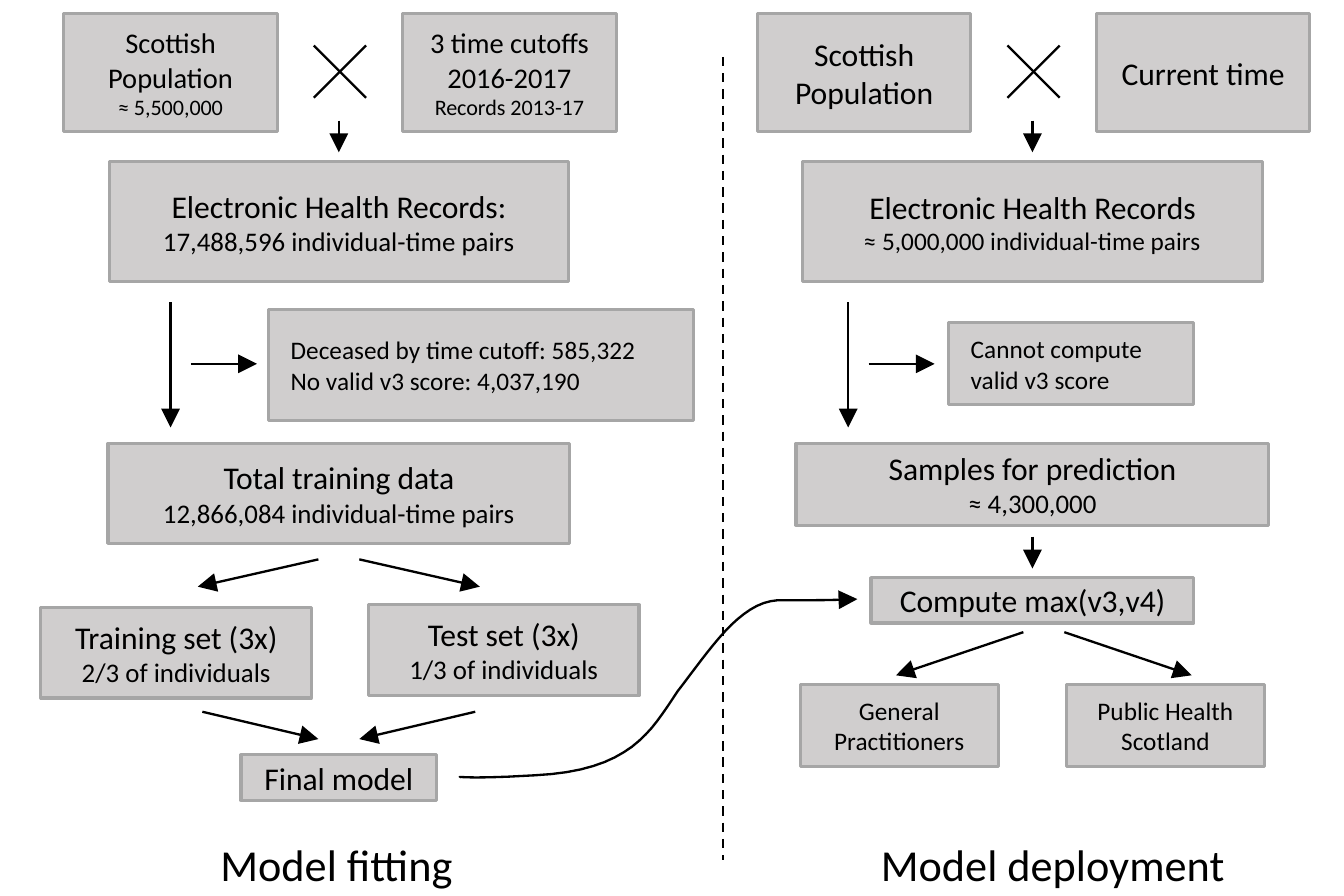
import dataclasses
import pptx
import pptx.dml.color
import pptx.enum.dml
import pptx.enum.shapes
import pptx.enum.text
import pptx.oxml
import pptx.oxml.ns
import pptx.util

Inches = pptx.util.Inches
ALIGN = pptx.enum.text.PP_ALIGN
MIDDLE = pptx.enum.text.MSO_ANCHOR.MIDDLE


@dataclasses.dataclass(frozen=True)
class Theme:
    font: str = "Calibri"
    ink: str = "000000"
    box_fill: str = "D0CECE"
    box_edge: str = "A6A6A6"
    edge_width: float = 1
    line_width: float = 0.75
    caption: float = 14
    heading: float = 10
    source: float = 9
    count: float = 8.5
    small: float = 8
    note: float = 7


THEME = Theme()
AXIS = 1.49  # centre line of a panel, from its left edge
PANEL_STEP = 3.05


def color(value):
    return pptx.dml.color.RGBColor.from_string(value)


def write(frame, lines, align=ALIGN.CENTER):
    """Fill a text frame with (text, size) paragraphs."""
    frame.text = "\n".join(text for text, size in lines)
    frame.vertical_anchor = MIDDLE
    for paragraph, (text, size) in zip(frame.paragraphs, lines):
        paragraph.alignment = align
        paragraph.space_before = pptx.util.Pt(0)
        font = paragraph.runs[0].font
        font.name, font.size, font.bold = THEME.font, pptx.util.Pt(size), False
        font.color.rgb = color(THEME.ink)


def ink_line(shape, arrow=False, dashed=False):
    shape.line.width = pptx.util.Pt(THEME.line_width)
    shape.line.color.rgb = color(THEME.ink)
    if dashed:
        shape.line.dash_style = pptx.enum.dml.MSO_LINE.DASH
    if arrow:
        outline = shape._element.spPr.find(pptx.oxml.ns.qn("a:ln"))
        outline.append(pptx.oxml.parse_xml(
            f'<a:tailEnd {pptx.oxml.ns.nsdecls("a")} type="triangle"/>'))


@dataclasses.dataclass
class Panel:
    """A region whose parts are placed from its left and top edges."""
    slide: object
    left: float
    top: float

    def box(self, x, y, width, height, *lines, align=ALIGN.CENTER):
        box = self.slide.shapes.add_shape(
            pptx.enum.shapes.MSO_SHAPE.RECTANGLE, Inches(self.left + x),
            Inches(self.top + y), Inches(width), Inches(height))
        box.shadow.inherit = False
        box.fill.solid()
        box.fill.fore_color.rgb = color(THEME.box_fill)
        box.line.color.rgb = color(THEME.box_edge)
        box.line.width = pptx.util.Pt(THEME.edge_width)
        box.text_frame.word_wrap = True
        write(box.text_frame, lines, align)

    def centred_box(self, y, width, height, *lines):
        self.box(AXIS - width / 2, y, width, height, *lines)

    def line(self, x1, y1, x2, y2, arrow=True, dashed=False):
        line = self.slide.shapes.add_connector(
            pptx.enum.shapes.MSO_CONNECTOR.STRAIGHT,
            Inches(self.left + x1), Inches(self.top + y1),
            Inches(self.left + x2), Inches(self.top + y2))
        ink_line(line, arrow, dashed)
        line._element.spPr.append(pptx.oxml.parse_xml(
            f'<a:effectLst {pptx.oxml.ns.nsdecls("a")}/>'))

    def down_arrow(self, y):
        self.line(AXIS, y, AXIS, y + 0.14)

    def arrow_pair(self, axis, y1, spread1, y2, spread2):
        for side in (-1, 1):
            self.line(axis + side * spread1, y1, axis + side * spread2, y2)

    def inputs(self, population, times, records):
        """Population crossed with times, leading to the records."""
        for x, lines in ((0.28, population), (1.77, times)):
            self.box(x, 0.06, 0.94, 0.52, *lines)
        for start, end in ((1.38, 1.61), (1.61, 1.38)):
            self.line(start, 0.2, end, 0.43, arrow=False)
        self.down_arrow(0.53)
        self.centred_box(0.71, 2.02, 0.53, *records)

    def exclusion(self, x, y, gap, width, height, *lines):
        """Arrow down past a side box of excluded records."""
        self.line(x, 1.33, x, 1.88)
        self.line(x + 0.09, 1.6, x + 0.38, 1.6)
        self.box(x + gap, y, width, height, *lines, align=ALIGN.LEFT)

    def caption(self, placeholder, text, centre):
        width = 1.73
        placeholder.left = Inches(self.left + centre - width / 2)
        placeholder.top = Inches(self.top + 3.63)
        placeholder.width, placeholder.height = Inches(width), Inches(0.34)
        placeholder.text_frame.auto_size = pptx.enum.text.MSO_AUTO_SIZE.NONE
        placeholder.text_frame.word_wrap = False
        write(placeholder.text_frame, [(text, THEME.caption)])


def model_fitting(panel, caption):
    t = THEME
    panel.inputs(
        [("Scottish Population", t.source), ("≈ 5,500,000", t.note)],
        [("3 time cutoffs 2016-2017", t.source), ("Records 2013-17", t.note)],
        [("Electronic Health Records:", t.heading),
         ("17,488,596 individual-time pairs", t.count)])
    panel.exclusion(0.75, 1.36, 0.43, 1.87, 0.49,
                    ("Deceased by time cutoff: 585,322", t.small),
                    ("No valid v3 score: 4,037,190", t.small))
    panel.centred_box(1.95, 2.03, 0.44, ("Total training data", t.heading),
                      ("12,866,084 individual-time pairs", t.count))
    # Split into sets, then join in the final model
    panel.arrow_pair(AXIS, 2.46, 0.09, 2.58, 0.62)
    for x, y, name, share in ((0.18, 2.67, "Training set (3x)", "2/3"),
                              (1.62, 2.66, "Test set (3x)", "1/3")):
        panel.box(x, y, 1.19, 0.4, (name, t.heading),
                  (f"{share} of individuals", t.count))
    panel.arrow_pair(AXIS, 3.13, 0.6, 3.25, 0.09)
    panel.centred_box(3.32, 0.86, 0.2, ("Final model", t.heading))
    panel.caption(caption, "Model fitting", 1.48)


def model_deployment(panel, caption):
    t = THEME
    panel.inputs(
        [("Scottish Population", t.heading)],
        [("Current time", t.heading)],
        [("Electronic Health Records", t.heading),
         ("≈ 5,000,000 individual-time pairs", t.small)])
    panel.exclusion(0.68, 1.42, 0.44, 1.08, 0.36,
                    ("Cannot compute valid v3 score", t.small))
    panel.centred_box(1.95, 2.08, 0.36, ("Samples for prediction", t.heading),
                      ("≈ 4,300,000", t.count))
    panel.down_arrow(2.36)
    panel.centred_box(2.54, 1.42, 0.2, ("Compute max(v3,v4)", t.heading))
    # Recipients of the scores
    panel.arrow_pair(1.54, 2.78, 0.09, 2.97, 0.65)
    for x, recipient in ((0.47, "General Practitioners"),
                         (1.64, "Public Health Scotland")):
        panel.box(x, 3.01, 0.87, 0.36, (recipient, t.small))
    panel.caption(caption, "Model deployment", 1.58)


def bezier(start, control1, control2, end, steps=16):
    for step in range(1, steps + 1):
        t = step / steps
        weights = ((1 - t) ** 3, 3 * t * (1 - t) ** 2, 3 * t * t * (1 - t), t ** 3)
        yield tuple(sum(w * p[i] for w, p in zip(
            weights, (start, control1, control2, end))) for i in (0, 1))


def handover(panel):
    """Divider between the panels and the curve that crosses it."""
    panel.line(3.18, 0.25, 3.18, 3.78, arrow=False, dashed=True)
    start = (2.02, 3.42)
    curves = [((2.03, 3.41), (2, 3.43), (2.35, 3.41)),
              ((2.77, 3.39), (2.86, 3.22), (2.98, 3.04)),
              ((3.12, 2.86), (3.25, 2.65), (3.42, 2.64)),
              ((3.6, 2.64), (3.66, 2.64), (3.77, 2.635))]
    points = [start]
    for curve in curves:
        points.extend(bezier(points[-1], *curve))
    first, *rest = [(Inches(panel.left + x), Inches(panel.top + y))
                    for x, y in points]
    builder = panel.slide.shapes.build_freeform(*first)
    builder.add_line_segments(rest, close=False)
    path_to_use = builder.convert_to_shape()
    path_to_use.shadow.inherit = False
    path_to_use.fill.background()
    ink_line(path_to_use, arrow=True)


presentation = pptx.Presentation()
presentation.slide_width, presentation.slide_height = Inches(5.91), Inches(3.94)
slide = presentation.slides.add_slide(
    presentation.slide_layouts.get_by_name("Comparison"))

# Keep only the two heading placeholders of the layout
captions = {p.placeholder_format.idx: p for p in slide.placeholders}
for unused in (0, 2, 4):
    element = captions.pop(unused)._element
    element.getparent().remove(element)

model_fitting(Panel(slide, 0, 0), captions[1])
model_deployment(Panel(slide, PANEL_STEP, 0), captions[3])
handover(Panel(slide, 0, 0))
presentation.save("out.pptx")
